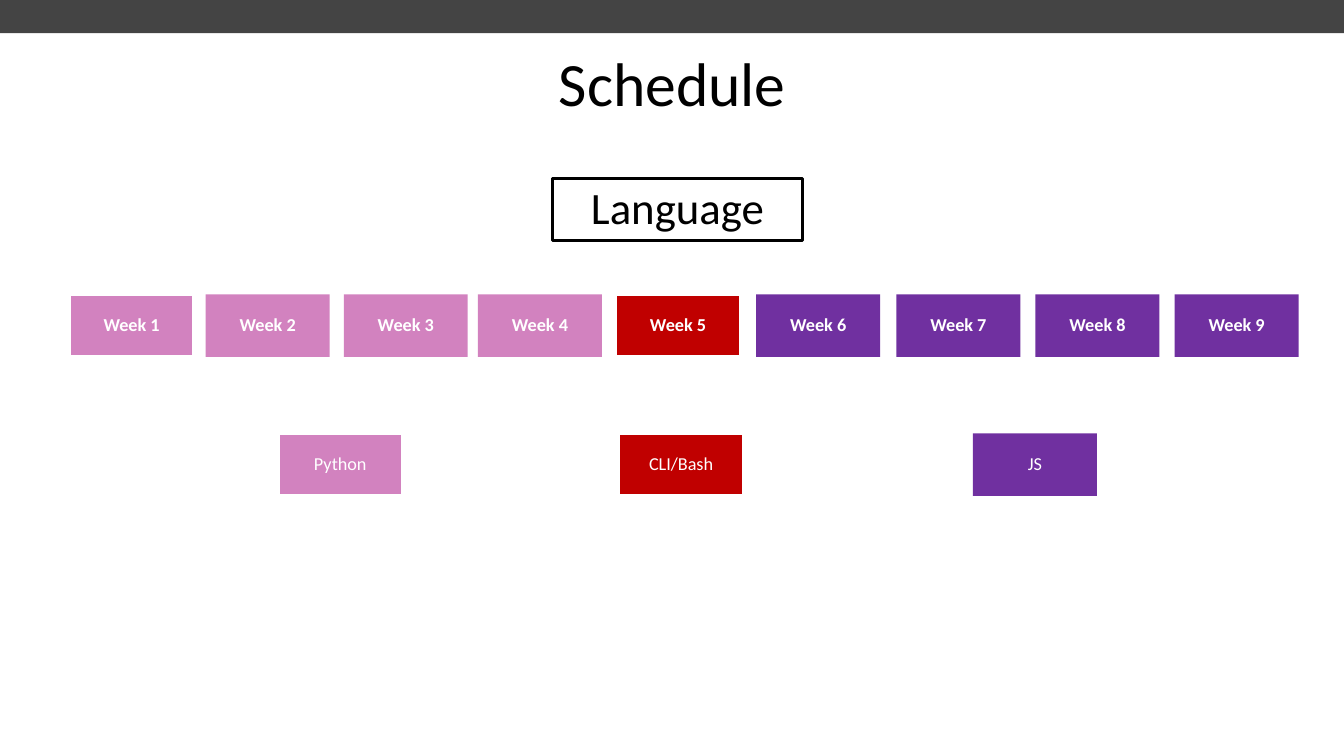
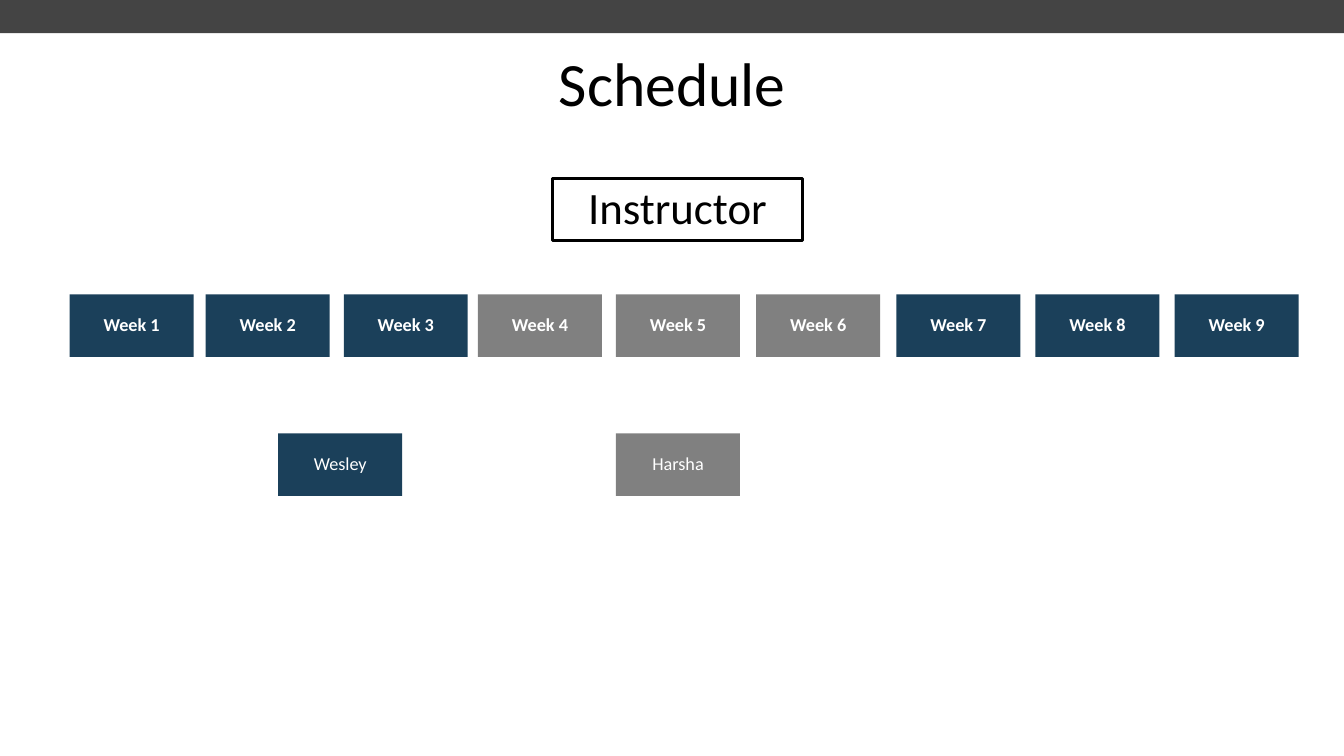
from pptx import Presentation
from pptx import util as u
from pptx.dml.color import RGBColor
from pptx.enum import shapes, text

FONT = "Calibri"
BLACK = RGBColor(0x00, 0x00, 0x00)
WHITE = RGBColor(0xFF, 0xFF, 0xFF)
BAND_GREY = RGBColor(0x44, 0x44, 0x44)
PINK = RGBColor(0xD2, 0x82, 0xBF)
RED = RGBColor(0xC0, 0x00, 0x00)
PURPLE = RGBColor(0x70, 0x30, 0xA0)
NAVY = RGBColor(0x1B, 0x40, 0x5A)
GREY = RGBColor(0x80, 0x80, 0x80)

SLIDE_WIDTH, SLIDE_HEIGHT = 13.33, 7.5
BOX_WIDTH, BOX_HEIGHT = 1.23, 0.62
WEEK_TOP, KEY_TOP = 2.92, 4.3
WEEK_LEFTS = (0.69, 2.04, 3.41, 4.74, 6.11, 7.5, 8.89, 10.27, 11.65)

# Week colours, weeks with a white edge, and key boxes:
# (label, left, colour, white edge)
SCHEDULES = (
    {
        "subject": "Language",
        "colors": [PINK] * 4 + [RED] + [PURPLE] * 4,
        "edged": (1, 5),
        "key": (
            ("Python", 2.76, PINK, True),
            ("CLI/Bash", 6.14, RED, True),
            ("JS", 9.65, PURPLE, False),
        ),
    },
    {
        "subject": "Instructor",
        "colors": [NAVY] * 3 + [GREY] * 3 + [NAVY] * 3,
        "edged": (),
        "key": (
            ("Wesley", 2.76, NAVY, False),
            ("Harsha", 6.11, GREY, False),
        ),
    },
)


def write(shape, content, size, color, bold=False):
    """Put one centred line of text into a shape."""
    paragraph = shape.text_frame.paragraphs[0]
    paragraph.text = content
    paragraph.alignment = text.PP_ALIGN.CENTER
    font = paragraph.runs[0].font
    font.name = FONT
    font.size = u.Pt(size)
    font.bold = bold
    font.color.rgb = color
    return paragraph


def add_rectangle(slide, left, top, width, height, fill, line=None):
    shape = slide.shapes.add_shape(
        shapes.MSO_SHAPE.RECTANGLE,
        u.Inches(left), u.Inches(top), u.Inches(width), u.Inches(height))
    shape.shadow.inherit = False
    shape.fill.solid()
    shape.fill.fore_color.rgb = fill
    if line is None:
        shape.line.fill.background()
    else:
        shape.line.color.rgb = line
        shape.line.width = u.Pt(2)
    return shape


def label(shape, content, size, color, inset, bold=False):
    """Write a vertically centred label with narrow margins."""
    frame = shape.text_frame
    frame.word_wrap = True
    frame.vertical_anchor = text.MSO_ANCHOR.MIDDLE
    frame.margin_left = frame.margin_right = u.Inches(inset)
    frame.margin_top = frame.margin_bottom = u.Inches(inset)
    write(shape, content, size, color, bold).line_spacing = 0.9


def add_box(slide, content, left, top, color, edged, bold=False):
    box = add_rectangle(slide, left, top, BOX_WIDTH, BOX_HEIGHT, color,
                        WHITE if edged else None)
    label(box, content, 13, WHITE, 0.01, bold)


def add_frame(slide):
    """Add the top band and the title that all slides share."""
    add_rectangle(slide, 0, 0, SLIDE_WIDTH, 0.33, BAND_GREY)
    title = slide.shapes.add_textbox(
        u.Inches(0.92), u.Inches(0.4), u.Inches(11.5), u.Inches(0.86))
    title.text_frame.word_wrap = True
    write(title, "Schedule", 44, BLACK)


def add_schedule(presentation, schedule):
    slide = presentation.slides.add_slide(presentation.slide_layouts[6])
    add_frame(slide)

    # Subject
    subject = add_rectangle(slide, 5.48, 1.77, 2.48, BOX_HEIGHT, WHITE, BLACK)
    label(subject, schedule["subject"], 32, BLACK, 0.02)

    # Weeks
    weeks = zip(WEEK_LEFTS, schedule["colors"])
    for number, (left, color) in enumerate(weeks, start=1):
        add_box(slide, f"Week {number}", left, WEEK_TOP, color,
                number in schedule["edged"], bold=True)

    # Colour key
    for content, left, color, edged in schedule["key"]:
        add_box(slide, content, left, KEY_TOP, color, edged)


def main():
    presentation = Presentation()
    presentation.slide_width = u.Inches(SLIDE_WIDTH)
    presentation.slide_height = u.Inches(SLIDE_HEIGHT)
    for schedule in SCHEDULES:
        add_schedule(presentation, schedule)
    presentation.save("out.pptx")


if __name__ == "__main__":
    main()
